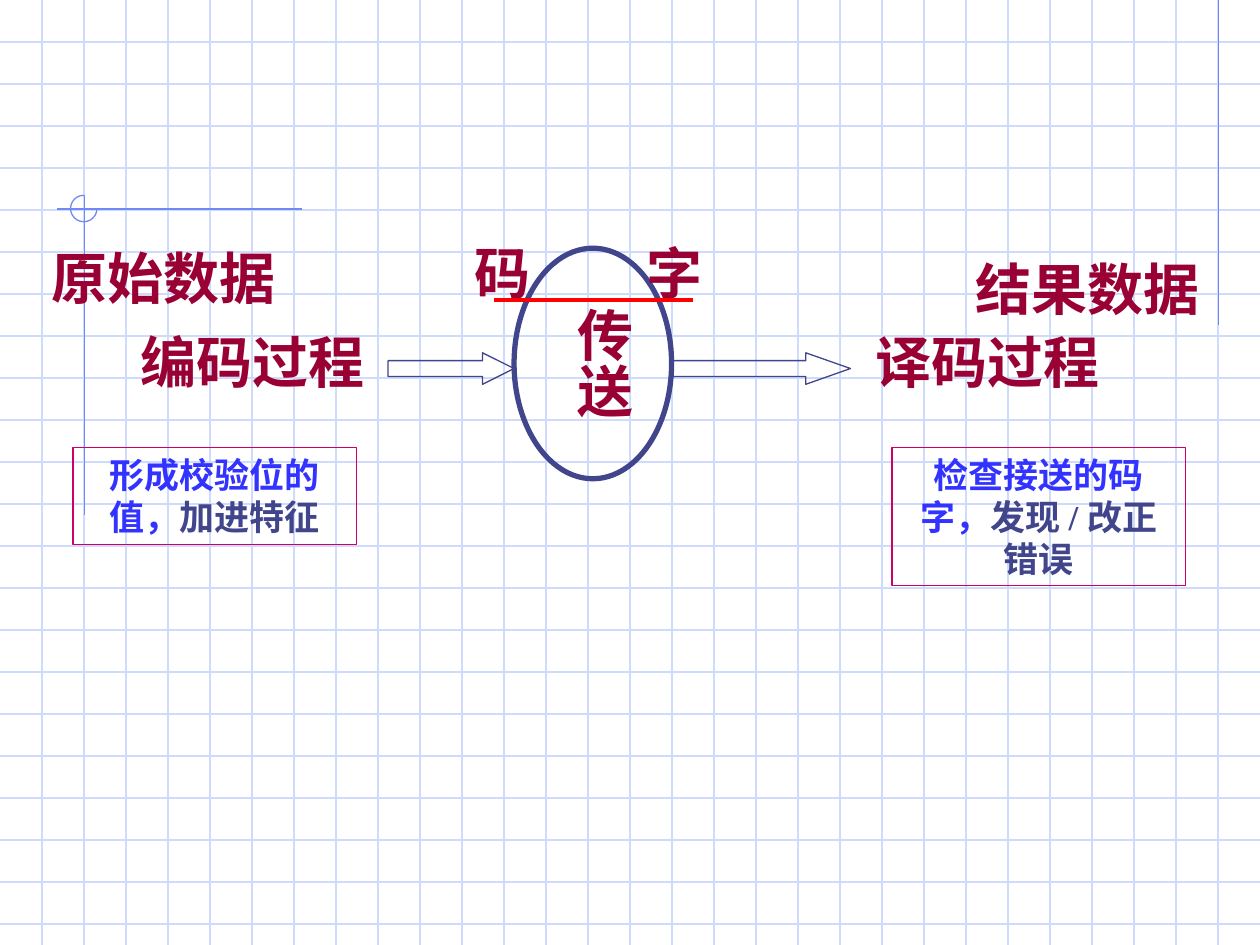
from lxml import etree
from pptx import Presentation
from pptx.enum import shapes, text
from pptx.dml.color import RGBColor
from pptx.util import Inches, Pt

HUES = {"grid": "CFDBFD", "trim": "6F89F7", "head": "990033", "ink": "40458C",
        "blue": "3333FF", "pink": "CC0066", "red": "FF0000"}
FONT = "Times New Roman"
WIDE, HIGH = 10, 7.5
STEP = 1 / 3

TRIM = [(9.67, 0, 9.67, 2.58), (2.4, 1.66, 0.45, 1.66), (0.67, 1.55, 0.67, 4.09)]
HEADS = [  # words, left, top, width
    ("编码过程", 0.92, 2.55, 2.17),
    ("译码过程", 6.67, 2.55, 2.33),
    ("原始数据", 0.17, 1.88, 2.25),
    ("码", 3.59, 1.84, 0.8),
    ("字", 4.95, 1.84, 0.8),
    ("结果数据", 7.59, 1.97, 2.08),
]
ARROWS = [(3.08, 1), (5.33, 1.42)]  # left, width
NOTES = [  # blue words, dark words, left, width, height
    ("形成校验位的值，", "加进特征", 0.58, 2.25, 0.77),
    ("检查接送的码字，", "发现 / 改正错误", 7.08, 2.33, 1.1),
]

deck = Presentation()
deck.slide_width, deck.slide_height = Inches(WIDE), Inches(HIGH)
slide = deck.slides.add_slide(deck.slide_layouts[6])
KIND = shapes.MSO_SHAPE


def hue(name):
    return RGBColor.from_string(HUES[name])


def rule(x1, y1, x2, y2, name, size=0.75):
    line = slide.shapes.add_connector(
        shapes.MSO_CONNECTOR.STRAIGHT, *map(Inches, (x1, y1, x2, y2)))
    line.line.color.rgb = hue(name)
    line.line.width = Pt(size)
    props = line._element.spPr
    etree.SubElement(props, props.nsmap["a"].join("{}") + "effectLst")


def form(kind, box, name, size=0.75):
    """Add an unfilled, outlined preset shape."""
    item = slide.shapes.add_shape(kind, *map(Inches, box))
    item.shadow.inherit = False
    item.fill.background()
    item.line.color.rgb = hue(name)
    item.line.width = Pt(size)
    return item


def write(item, parts, size, pads=(0.1, 0.05)):
    """Fill a shape with one centred bold line of (words, colour) parts."""
    frame = item.text_frame
    frame.word_wrap = True
    frame.vertical_anchor = text.MSO_ANCHOR.TOP
    frame.margin_left = frame.margin_right = Inches(pads[0])
    frame.margin_top = frame.margin_bottom = Inches(pads[1])
    para = frame.paragraphs[0]
    para.alignment = text.PP_ALIGN.CENTER
    para._p.get_or_add_pPr().set("hangingPunct", "0")
    para.font.name, para.font.size, para.font.bold = FONT, Pt(size), True
    for words, name in parts:
        run = para.add_run()
        run.text = words
        run.font.color.rgb = hue(name)


def head(words, box, pads=(0.1, 0.05)):
    item = slide.shapes.add_textbox(*map(Inches, box))
    write(item, [(words, "head")], 32, pads)
    return item


# Background grid and corner trim
for i in range(1, 23):
    rule(0, i * STEP, WIDE, i * STEP, "grid")
for i in range(1, 30):
    rule(i * STEP, 0, i * STEP, HIGH, "grid")
for ends in TRIM:
    rule(*ends, "trim")
arc = form(KIND.ARC, (0.56, 1.55, 0.21, 0.21), "trim")
arc.adjustments[0], arc.adjustments[1] = 0, 162  # 0 to 270 degrees

# Data flow
form(KIND.OVAL, (4.08, 1.97, 1.25, 1.83), "ink", 3)
send = head("传送", (4.38, 2.34, 0.73, 1.25), (0.05, 0.1))
send.text_frame._txBody.bodyPr.set("vert", "eaVert")
for left, wide in ARROWS:
    arrow = form(KIND.RIGHT_ARROW, (left, 2.8, wide, 0.25), "ink")
    arrow.adjustments[0], arrow.adjustments[1] = 0.5, wide
for words, left, top, wide in HEADS:
    head(words, (left, top, wide, 0.64))
rule(3.92, 2.38, 5.5, 2.38, "red", 2.25)

# Notes under each stage
for first, rest, left, wide, high in NOTES:
    note = form(KIND.RECTANGLE, (left, 3.55, wide, high), "pink")
    write(note, [(first, "blue"), (rest, "ink")], 20)

deck.save("out.pptx")
